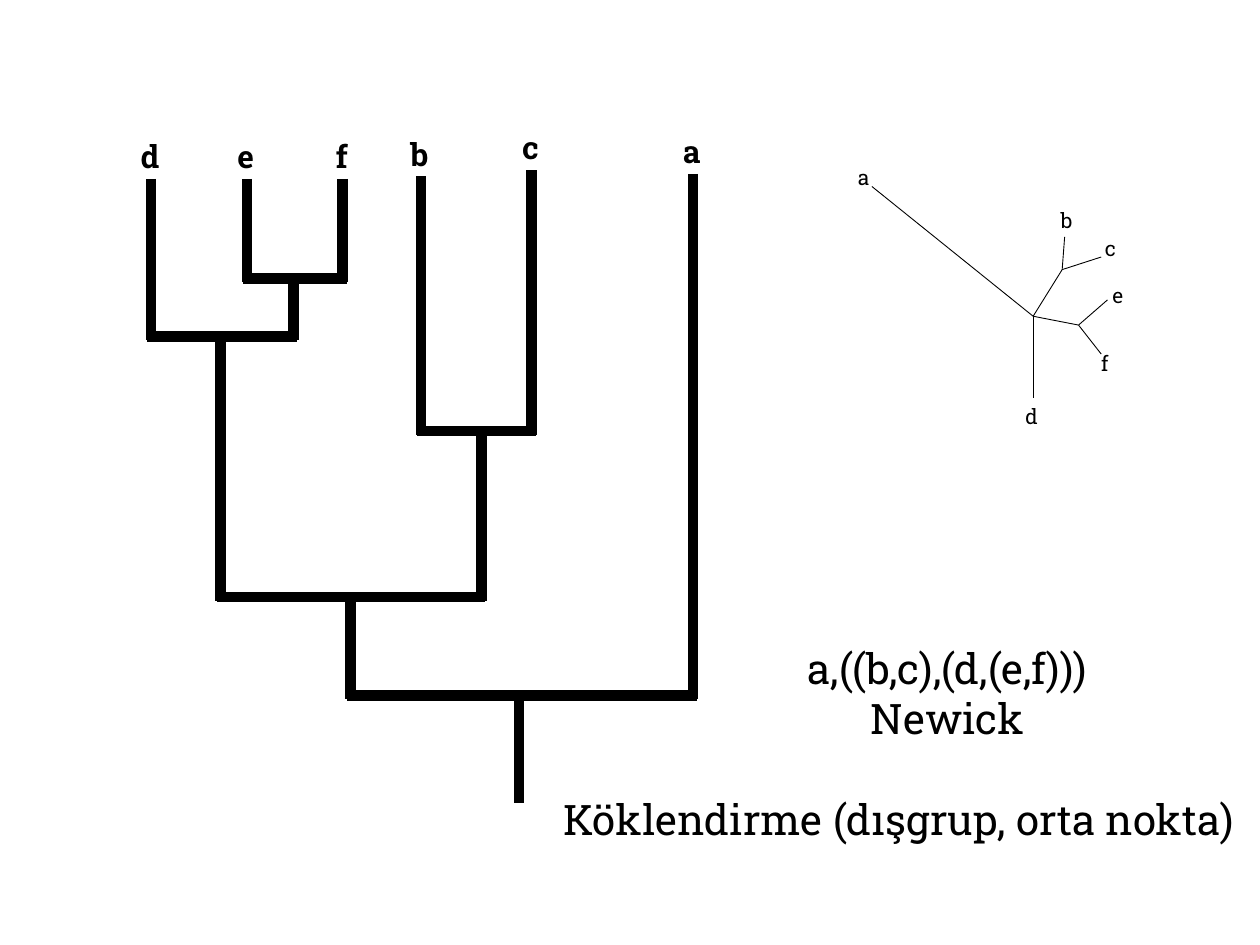
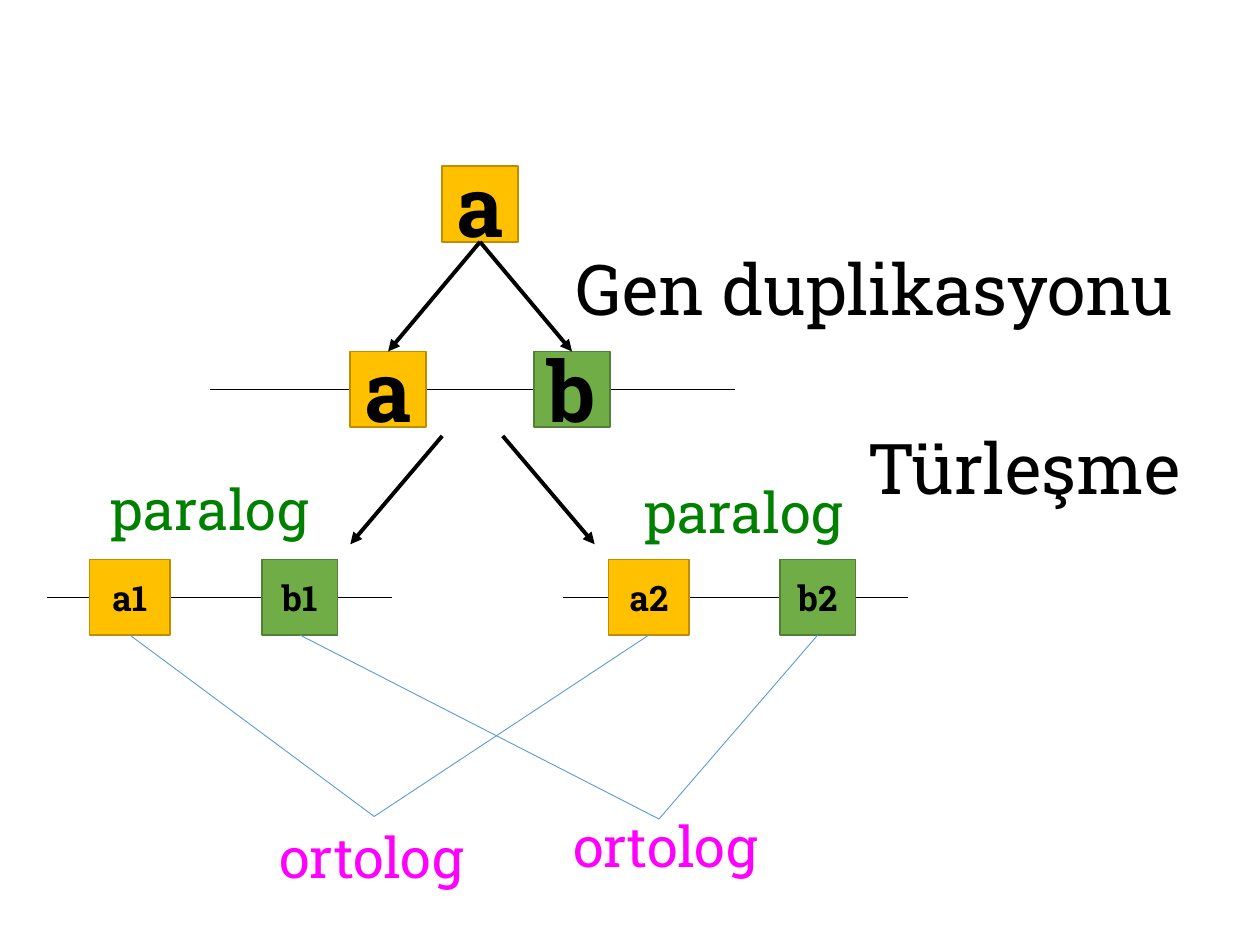
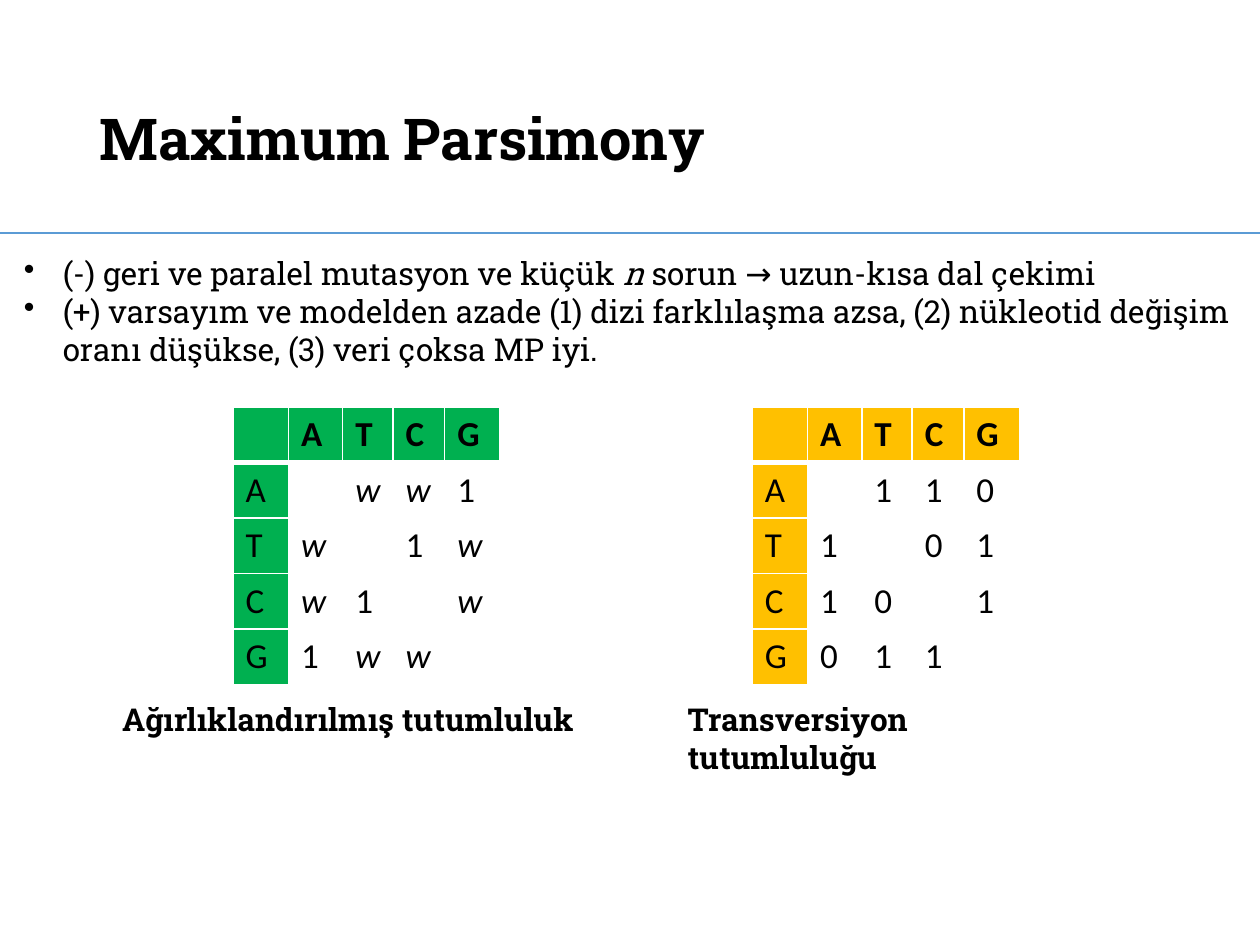
"""Builds three slides on phylogenetic trees, gene homology and maximum parsimony."""
from dataclasses import dataclass

from lxml import etree
from pptx import Presentation
from pptx.dml.color import RGBColor
from pptx.enum.shapes import MSO_CONNECTOR, MSO_SHAPE
from pptx.enum.text import MSO_ANCHOR, MSO_AUTO_SIZE, PP_ALIGN
from pptx.oxml import parse_xml
from pptx.oxml.ns import nsdecls, qn
from pptx.util import Inches, Pt


@dataclass(frozen=True)
class Theme:
    font: str = "Roboto Slab"
    table_font: str = "Calibri"
    ink: str = "000000"
    paper: str = "FFFFFF"
    rule: str = "5B9BD5"
    gold: str = "FFC000"
    gold_edge: str = "BD8E00"
    leaf: str = "70AD47"
    leaf_edge: str = "538035"
    emerald: str = "00B050"
    paralog: str = "008000"
    ortholog: str = "FF00FF"
    hairline: float = 0.5
    branch: float = 6
    arrow: float = 2.25
    tiny: int = 12
    body: int = 18
    cell: int = 20
    note: int = 24
    relation: int = 32
    title: int = 33
    event: int = 40
    gene: int = 48


THEME = Theme()
WIDTH, HEIGHT = 10, 7.5

TREE_NODES = {
    "d": (1.2, 1.42), "e": (1.96, 1.42), "f": (2.72, 1.42),
    "b": (3.34, 1.4), "c": (4.22, 1.35), "a": (5.5, 1.38),
    "ef": (2.33, 2.21), "def": (1.75, 2.67), "bc": (3.82, 3.42),
    "bcdef": (2.78, 4.74), "root": (4.12, 5.52),
}
TREE_PAIRS = {
    "ef": ("e", "f"), "def": ("d", "ef"), "bc": ("b", "c"),
    "bcdef": ("def", "bc"), "root": ("bcdef", "a"),
}
ROOT_END = 6.37

STAR_NODES = {
    "hub": (8.2, 2.51), "bc": (8.43, 2.14), "ef": (8.56, 2.58),
    "a": (6.92, 1.48), "b": (8.45, 1.88), "c": (8.74, 2.04),
    "d": (8.2, 3.16), "e": (8.79, 2.38), "f": (8.74, 2.81),
}
STAR_EDGES = [("hub", "a"), ("hub", "d"), ("hub", "ef"), ("ef", "e"),
              ("ef", "f"), ("hub", "bc"), ("bc", "c"), ("bc", "b")]
STAR_LABELS = {"a": (6.71, 1.26), "d": (8.04, 3.15), "f": (8.64, 2.73),
               "e": (8.73, 2.19), "b": (8.32, 1.6), "c": (8.67, 1.82)}
NEWICK = ["a,((b,c),(d,(e,f)))", "Newick", "Köklendirme (dışgrup, orta nokta)"]

CHROMOSOMES = [(4.47, 7.21, 4.74), (0.37, 3.11, 4.74), (1.67, 5.83, 3.09)]
GENE_SIDE = 0.6
GENES = {
    "ancestor": ("a", 3.51, 1.32, GENE_SIDE), "a": ("a", 2.78, 2.79, GENE_SIDE),
    "b": ("b", 4.24, 2.79, GENE_SIDE), "a1": ("a1", 0.71, 4.44, 0.64),
    "b1": ("b1", 2.08, 4.44, GENE_SIDE), "a2": ("a2", 4.83, 4.44, 0.64),
    "b2": ("b2", 6.19, 4.44, GENE_SIDE),
}
SPECIATION = [((3.99, 3.46), (4.72, 4.32)), ((3.51, 3.46), (2.78, 4.32))]
ORTHOLOGS = [(("a1", "a2"), (2.97, 6.48)), (("b1", "b2"), (5.23, 6.5))]
EVENTS = [("Gen duplikasyonu", 4.19, 1.98, 5.5), ("Türleşme", 6.53, 3.4, 3.19)]
RELATIONS = [
    ("ortolog", 2.12, 6.48, THEME.ortholog), ("ortolog", 4.45, 6.39, THEME.ortholog),
    ("paralog", 0.78, 3.72, THEME.paralog), ("paralog", 5.02, 3.74, THEME.paralog),
]

TITLE = "Maximum Parsimony"
POINTS = [
    [("(-) geri ve paralel mutasyon ve küçük ", False), ("n", True),
     (" sorun → uzun-kısa dal çekimi", False)],
    [("(+) varsayım ve modelden azade (1) dizi farklılaşma azsa, (2) nükleotid "
      "değişim oranı düşükse, (3) veri çoksa MP iyi.", False)],
]
BASES = ["A", "T", "C", "G"]
COST_COLUMNS = [0.44, 0.43, 0.4, 0.41, 0.44]
COST_ROW = 0.43
COSTS = [
    (1.85, THEME.emerald, [["", "w", "w", "1"], ["w", "", "1", "w"],
                           ["w", "1", "", "w"], ["1", "w", "w", ""]]),
    (5.97, THEME.gold, [["", "1", "1", "0"], ["1", "", "0", "1"],
                        ["1", "0", "", "1"], ["0", "1", "1", ""]]),
]
CAPTIONS = [("Ağırlıklandırılmış tutumluluk", 0.87, 4.08, False),
            ("Transversiyon tutumluluğu", 5.36, 3.3, True)]


def color(value):
    return RGBColor.from_string(value)


def style(paragraph, size, ink=THEME.ink, bold=False, italic=False, font=THEME.font):
    for run in paragraph.runs:
        run.font.name, run.font.size = font, Pt(size)
        run.font.bold, run.font.italic = bold, italic
        run.font.color.rgb = color(ink)


def add_label(slide, text, box, size, ink=THEME.ink, bold=False, wrap=False,
              align=PP_ALIGN.LEFT, anchor=MSO_ANCHOR.TOP):
    frame = slide.shapes.add_textbox(*map(Inches, box)).text_frame
    frame.word_wrap = wrap
    frame.auto_size = MSO_AUTO_SIZE.NONE
    frame.vertical_anchor = anchor
    frame.text = text
    for paragraph in frame.paragraphs:
        paragraph.alignment = align
        style(paragraph, size, ink, bold)
    return frame


def add_line(slide, start, end, width=THEME.hairline, ink=THEME.ink, arrow=False):
    line = slide.shapes.add_connector(
        MSO_CONNECTOR.STRAIGHT, *map(Inches, (*start, *end)))
    line.line.width = Pt(width)
    line.line.color.rgb = color(ink)
    if arrow:
        etree.SubElement(line.line._get_or_add_ln(), qn("a:tailEnd"), type="triangle")
    etree.SubElement(line._element.spPr, qn("a:effectLst"))
    return line


def set_indent(paragraph, margin, indent=0, bullet=None):
    properties = paragraph._p.get_or_add_pPr()
    properties.set("marL", str(Inches(margin)))
    properties.set("indent", str(Inches(indent)))
    if bullet:
        etree.SubElement(properties, qn("a:buChar"), char=bullet)


def build_tree_slide(slide):
    for start, end in STAR_EDGES:
        add_line(slide, STAR_NODES[start], STAR_NODES[end])
    for tip, corner in STAR_LABELS.items():
        add_label(slide, tip, (*corner, 0.3, 0.3), THEME.tiny)

    notes = add_label(slide, "\n".join(NEWICK), (3.95, 5.05, 6.37, 1.72),
                      THEME.note, wrap=True, align=PP_ALIGN.CENTER)
    for paragraph in notes.paragraphs[:2]:
        set_indent(paragraph, 0.77)
    notes.paragraphs[2].space_before = Pt(28.8)

    overlap = 0.03
    for parent, pair in TREE_PAIRS.items():
        bar = TREE_NODES[parent][1]
        left, right = (TREE_NODES[child][0] for child in pair)
        add_line(slide, (left - overlap, bar), (right + overlap, bar), THEME.branch)
        for child in pair:
            x, top = TREE_NODES[child]
            add_line(slide, (x, top), (x, bar + overlap), THEME.branch)
            if len(child) == 1:
                add_label(slide, child, (x - 0.19, top - 0.38, 0.36, 0.4),
                          THEME.body, bold=True, align=PP_ALIGN.CENTER)
    root_x, root_y = TREE_NODES["root"]
    add_line(slide, (root_x, root_y), (root_x, ROOT_END), THEME.branch)


def add_gene(slide, text, left, top, width):
    gene = slide.shapes.add_shape(
        MSO_SHAPE.RECTANGLE, *map(Inches, (left, top, width, GENE_SIDE)))
    gene.shadow.inherit = False
    fill, edge = ((THEME.gold, THEME.gold_edge) if text.startswith("a")
                  else (THEME.leaf, THEME.leaf_edge))
    gene.fill.solid()
    gene.fill.fore_color.rgb = color(fill)
    gene.line.color.rgb = color(edge)
    gene.line.width = Pt(1)
    frame = gene.text_frame
    frame.text = text
    frame.vertical_anchor = MSO_ANCHOR.MIDDLE
    frame.paragraphs[0].alignment = PP_ALIGN.CENTER
    style(frame.paragraphs[0], THEME.gene if len(text) == 1 else THEME.cell, bold=True)
    return gene


def build_homology_slide(slide):
    for left, right, y in CHROMOSOMES:
        add_line(slide, (left, y), (right, y))
    genes = {key: add_gene(slide, *gene) for key, gene in GENES.items()}
    for copy in ("a", "b"):
        duplication = add_line(slide, (0, 0), (1, 1), THEME.arrow, arrow=True)
        duplication.begin_connect(genes["ancestor"], 2)
        duplication.end_connect(genes[copy], 0)
    for start, end in SPECIATION:
        add_line(slide, start, end, THEME.arrow, arrow=True)
    for pair, apex in ORTHOLOGS:
        for key in pair:
            link = add_line(slide, (0, 0), apex, ink=THEME.rule)
            link.begin_connect(genes[key], 2)
    for text, left, top, width in EVENTS:
        add_label(slide, text, (left, top, width, 0.6), THEME.event, wrap=True,
                  align=PP_ALIGN.CENTER, anchor=MSO_ANCHOR.MIDDLE)
    for text, left, top, ink in RELATIONS:
        add_label(slide, text, (left, top, 1.8, 0.64), THEME.relation, ink)


def set_borders(cell, bottom):
    properties = cell._tc.get_or_add_tcPr()
    for side, width in (("L", 1), ("R", 1), ("T", 1), ("B", bottom)):
        properties.append(parse_xml(
            f'<a:ln{side} {nsdecls("a")} w="{Pt(width)}"><a:solidFill>'
            f'<a:srgbClr val="{THEME.paper}"/></a:solidFill></a:ln{side}>'))


def add_costs(slide, left, accent, costs):
    rows = [["", *BASES]] + [[base, *row] for base, row in zip(BASES, costs)]
    size = len(rows)
    table = slide.shapes.add_table(
        size, size, Inches(left), Inches(3.23),
        Inches(sum(COST_COLUMNS)), Inches(COST_ROW * size)).table
    table.first_row = table.horz_banding = False
    for column, width in zip(table.columns, COST_COLUMNS):
        column.width = Inches(width)
    for r, row in enumerate(rows):
        table.rows[r].height = Inches(COST_ROW)
        for c, value in enumerate(row):
            cell = table.cell(r, c)
            cell.text = value
            set_borders(cell, 3 if r == 0 else 1)
            if r == 0 or c == 0:
                cell.fill.solid()
                cell.fill.fore_color.rgb = color(accent)
            else:
                cell.fill.background()
            style(cell.text_frame.paragraphs[0], THEME.cell, bold=r == 0,
                  italic=value == "w", font=THEME.table_font)


def build_parsimony_slide(slide):
    title = add_label(slide, TITLE, (0.69, 0.4, 8.62, 1.45), THEME.title, bold=True,
                      wrap=True, anchor=MSO_ANCHOR.MIDDLE)
    title.paragraphs[0].line_spacing = 0.9
    add_line(slide, (0, 1.85), (WIDTH, 1.85), 1.5, THEME.rule)
    for cost in COSTS:
        add_costs(slide, *cost)
    for text, left, width, wrap in CAPTIONS:
        add_label(slide, text, (left, 5.51, width, 0.4), THEME.body, bold=True, wrap=wrap)

    lines = ["".join(text for text, _ in point) for point in POINTS]
    points = add_label(slide, "\n".join(lines), (0.09, 1.97, 9.91, 1.01),
                       THEME.body, wrap=True)
    for paragraph, point in zip(points.paragraphs, POINTS):
        set_indent(paragraph, 0.31, -0.31, "•")
        paragraph.text = ""
        for text, _ in point:
            paragraph.add_run().text = text
        style(paragraph, THEME.body)
        for run, (_, italic) in zip(paragraph.runs, point):
            run.font.italic = italic


def main():
    deck = Presentation()
    deck.slide_width, deck.slide_height = Inches(WIDTH), Inches(HEIGHT)
    for build in (build_tree_slide, build_homology_slide, build_parsimony_slide):
        build(deck.slides.add_slide(deck.slide_layouts[6]))
    deck.save("out.pptx")


if __name__ == "__main__":
    main()
